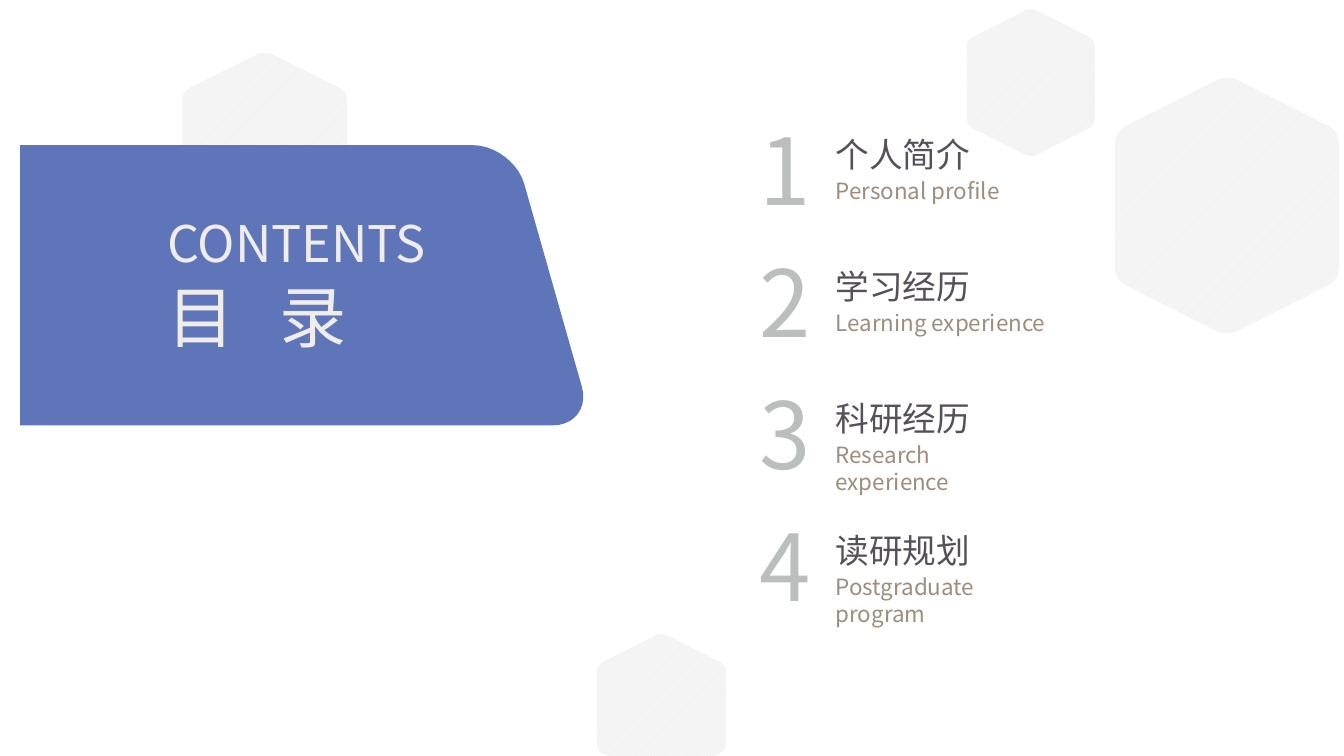
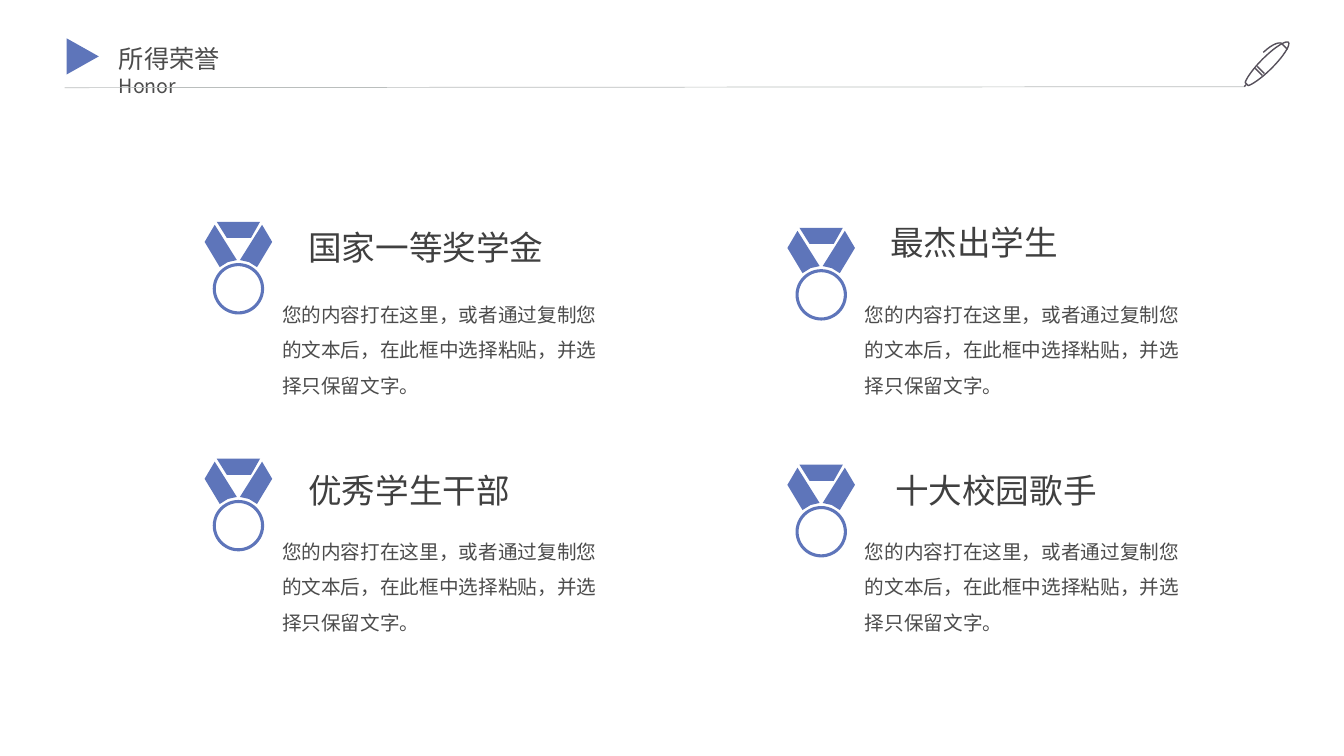
import math

from lxml import etree
from pptx import Presentation
from pptx.dml.color import RGBColor
from pptx.enum.dml import MSO_PATTERN
from pptx.enum.shapes import MSO_CONNECTOR, MSO_SHAPE
from pptx.enum.text import MSO_ANCHOR, MSO_AUTO_SIZE
from pptx.oxml.ns import qn
from pptx.util import Inches, Pt

TRIANGLE = MSO_SHAPE.ISOSCELES_TRIANGLE
DONUT = MSO_SHAPE.DONUT
STRAIGHT = MSO_CONNECTOR.STRAIGHT
DIAGONAL = MSO_PATTERN.DARK_UPWARD_DIAGONAL
TOP, BOTTOM = MSO_ANCHOR.TOP, MSO_ANCHOR.BOTTOM

FONT = "Noto Sans CJK SC"
BLUE, WHITE, PALE = "5E75BA", "FFFFFF", "F2F2F2"
CREAM, SILVER, PLUM, TAN = "F0ECE9", "BABEBD", "56505B", "A08C7C"
DARK, BODY = "404040", "4C4C4C"

# Chinese label, English label, width of the English label
CHAPTERS = [
    ("个人简介", "Personal profile", 2.2),
    ("学习经历", "Learning experience", 2.4),
    ("科研经历", "Research experience", 2.2),
    ("读研规划", "Postgraduate program", 2.2),
]
CHAPTER_TOP, CHAPTER_STEP = 1.06, 1.31

# left, top, width, height
HEXAGONS = [
    (1.81, 0.52, 1.63, 1.85),
    (9.59, 0.09, 1.27, 1.46),
    (11.06, 0.77, 2.22, 2.54),
    (5.92, 6.29, 1.28, 1.46),
]
# x and y as shares of the hexagon's width and height
HEXAGON_CORNERS = [(0.5, -0.01), (1, 0.21), (1, 0.79),
                   (0.5, 1.01), (0, 0.79), (0, 0.21)]
# x, y, length cut from each edge by the rounding
PANEL_CORNERS = [(0.2, 1.44, 0), (5.09, 1.44, 0.4),
                 (5.88, 4.22, 0.4), (0.2, 4.22, 0)]

HONOR_TEXT = ("您的内容打在这里，或者通过复制您的文本后，"
              "在此框中选择粘贴，并选择只保留文字。")
# title, left, top; two to a row
HONORS = [
    ("国家一等奖学金", 2.96, 2.2),
    ("最杰出学生", 8.73, 2.15),
    ("优秀学生干部", 2.96, 4.61),
    ("十大校园歌手", 8.78, 4.61),
]
HONOR_LEFT, HONOR_TOP = 2.03, 2.2
HONOR_STEP_X, HONOR_STEP_Y = 5.78, 2.35

MEDAL_RIBBON = [
    [(0.12, 0), (0.55, 0), (0.46, 0.16), (0.22, 0.16)],
    [(0.57, 0.03), (0.35, 0.38), (0.44, 0.4), (0.52, 0.45), (0.67, 0.2)],
    [(0.1, 0.03), (0, 0.2), (0.15, 0.45), (0.23, 0.4), (0.32, 0.38)],
]
# Each stroke is a start point, then steps: one point for a line, three for a curve
PEN_STROKES = [
    [(12.52, 0.75), [(12.45, 0.68)]],
    [(12.47, 0.66), [(12.54, 0.73)]],
    [(12.78, 0.42),
     [(12.75, 0.4), (12.64, 0.47), (12.52, 0.59)],
     [(12.43, 0.68), (12.36, 0.78), (12.35, 0.82)],
     [(12.38, 0.85)],
     [(12.42, 0.84), (12.52, 0.77), (12.61, 0.68)],
     [(12.73, 0.56), (12.8, 0.45), (12.78, 0.42)]],
    [(12.36, 0.84), [(12.34, 0.86)]],
    [(12.77, 0.49), [(12.71, 0.43)],
     [(12.71, 0.43), (12.66, 0.4), (12.53, 0.52)]],
]


def color(value):
    return RGBColor.from_string(value)


def curve(start, first, second, end, steps=10):
    """Return points along a cubic curve, without its start."""
    points = []
    for step in range(1, steps + 1):
        t = step / steps
        weights = ((1 - t) ** 3, 3 * t * (1 - t) ** 2, 3 * t * t * (1 - t), t ** 3)
        points.append(tuple(
            sum(w * p[axis] for w, p in zip(weights, (start, first, second, end)))
            for axis in (0, 1)))
    return points


def toward(origin, target, length):
    share = length / math.dist(origin, target)
    return tuple(a + (b - a) * share for a, b in zip(origin, target))


def rounded(corners):
    """Turn (x, y, cut) corners into an outline with rounded corners."""
    outline = []
    for index, (x, y, cut) in enumerate(corners):
        corner = (x, y)
        if not cut:
            outline.append(corner)
            continue
        before = corners[index - 1][:2]
        after = corners[(index + 1) % len(corners)][:2]
        start, end = toward(corner, before, cut), toward(corner, after, cut)
        outline.append(start)
        outline += curve(start, toward(corner, before, cut * 0.45),
                         toward(corner, after, cut * 0.45), end)
    return outline


def stroke_points(stroke):
    points = [stroke[0]]
    for step in stroke[1:]:
        points += curve(points[-1], *step) if len(step) == 3 else step
    return points


def style(shape, fill=None, line=None):
    shape.shadow.inherit = False
    if fill:
        shape.fill.solid()
        shape.fill.fore_color.rgb = color(fill)
    else:
        shape.fill.background()
    if line:
        shape.line.color.rgb = color(line)
        shape.line.width = Pt(1)
    else:
        shape.line.fill.background()


def add_outline(slide, contours, fill=None, line=None):
    """Draw contours as one freeform, closed when it has a fill."""
    builder = None
    for contour in contours:
        points = [(Inches(x), Inches(y)) for x, y in contour]
        if builder is None:
            builder = slide.shapes.build_freeform(*points[0], scale=1.0)
        else:
            builder.move_to(*points[0])
        builder.add_line_segments(points[1:], close=bool(fill))
    shape = builder.convert_to_shape()
    style(shape, fill, line)
    return shape


def add_text(slide, box, runs, tint, anchor=TOP, line_spacing=None):
    """Write (text, size) runs as one paragraph and return the paragraph."""
    frame = slide.shapes.add_textbox(*map(Inches, box)).text_frame
    frame.word_wrap = True
    frame.auto_size = MSO_AUTO_SIZE.SHAPE_TO_FIT_TEXT
    frame.vertical_anchor = anchor
    paragraph = frame.paragraphs[0]
    if line_spacing:
        paragraph.line_spacing = line_spacing
    for text, size in runs:
        run = paragraph.add_run()
        run.text = text
        run.font.size = Pt(size)
        run.font.color.rgb = color(tint)
        run.font.name = FONT
        properties = run._r.get_or_add_rPr()
        etree.SubElement(properties, qn("a:ea")).set("typeface", FONT)
    return paragraph


def add_hexagon(slide, left, top, width, height):
    corners = [(left + x * width, top + y * height, width * 0.05)
               for x, y in HEXAGON_CORNERS]
    hexagon = add_outline(slide, [rounded(corners)], PALE)
    hexagon.fill.patterned()
    hexagon.fill.pattern = DIAGONAL
    hexagon.fill.fore_color.rgb = color(WHITE)
    hexagon.fill.back_color.rgb = color(PALE)


def add_medal(slide, left, top):
    ribbon = [[(left + x, top + y) for x, y in part] for part in MEDAL_RIBBON]
    add_outline(slide, ribbon, BLUE)
    ring = slide.shapes.add_shape(DONUT, Inches(left + 0.08), Inches(top + 0.41),
                                  Inches(0.51), Inches(0.51))
    ring.adjustments[0] = 0.06
    style(ring, BLUE)


def add_header(slide, title, subtitle):
    add_text(slide, (1.08, 0.38, 1.65, 0.4), [(title + " ", 18), (subtitle, 14)], BODY)
    rule = slide.shapes.add_connector(STRAIGHT, Inches(0.64), Inches(0.87),
                                      Inches(12.34), Inches(0.86))
    rule.line.color.rgb = color(SILVER)
    rule.line.width = Pt(0.5)
    etree.SubElement(rule._element.spPr, qn("a:effectLst"))
    add_outline(slide, map(stroke_points, PEN_STROKES), line=PLUM)
    marker = slide.shapes.add_shape(TRIANGLE, Inches(0.64), Inches(0.4),
                                    Inches(0.36), Inches(0.32))
    marker.rotation = 90
    style(marker, BLUE)


def build_contents(slide):
    for hexagon in HEXAGONS:
        add_hexagon(slide, *hexagon)
    for index, (chinese, english, width) in enumerate(CHAPTERS):
        top = CHAPTER_TOP + index * CHAPTER_STEP
        add_text(slide, (7.43, top, 0.71, 1.21), [(str(index + 1), 66)], SILVER, BOTTOM)
        add_text(slide, (8.19, top + 0.22, 1.7, 0.5), [(chinese, 24)], PLUM)
        add_text(slide, (8.19, top + 0.65, width, 0.37), [(english, 16)], TAN)
    add_outline(slide, [rounded(PANEL_CORNERS)], BLUE)
    add_text(slide, (1.56, 2.06, 3.02, 0.71), [("CONTENTS", 36)], CREAM)
    heading = add_text(slide, (1.56, 2.68, 2.5, 0.91), [("目 录", 48)], CREAM)
    # Letter spacing in hundredths of a point sets the two characters apart
    heading.runs[0]._r.get_or_add_rPr().set("spc", "1075")


def build_honors(slide):
    add_header(slide, "所得荣誉", "Honor")
    for index, (title, title_left, title_top) in enumerate(HONORS):
        row, column = divmod(index, 2)
        left = HONOR_LEFT + column * HONOR_STEP_X
        top = HONOR_TOP + row * HONOR_STEP_Y
        add_medal(slide, left, top + column * 0.06)
        add_text(slide, (left + 0.67, top + 0.64, 3.46, 1.16), [(HONOR_TEXT, 14)],
                 BODY, line_spacing=1.5)
        add_text(slide, (title_left, title_top, 2.7, 0.5), [(title, 24)], DARK)


def main():
    presentation = Presentation()
    presentation.slide_width = Inches(13.33)
    presentation.slide_height = Inches(7.5)
    blank = presentation.slide_layouts[6]
    for build in (build_contents, build_honors):
        build(presentation.slides.add_slide(blank))
    presentation.save("out.pptx")


if __name__ == "__main__":
    main()
